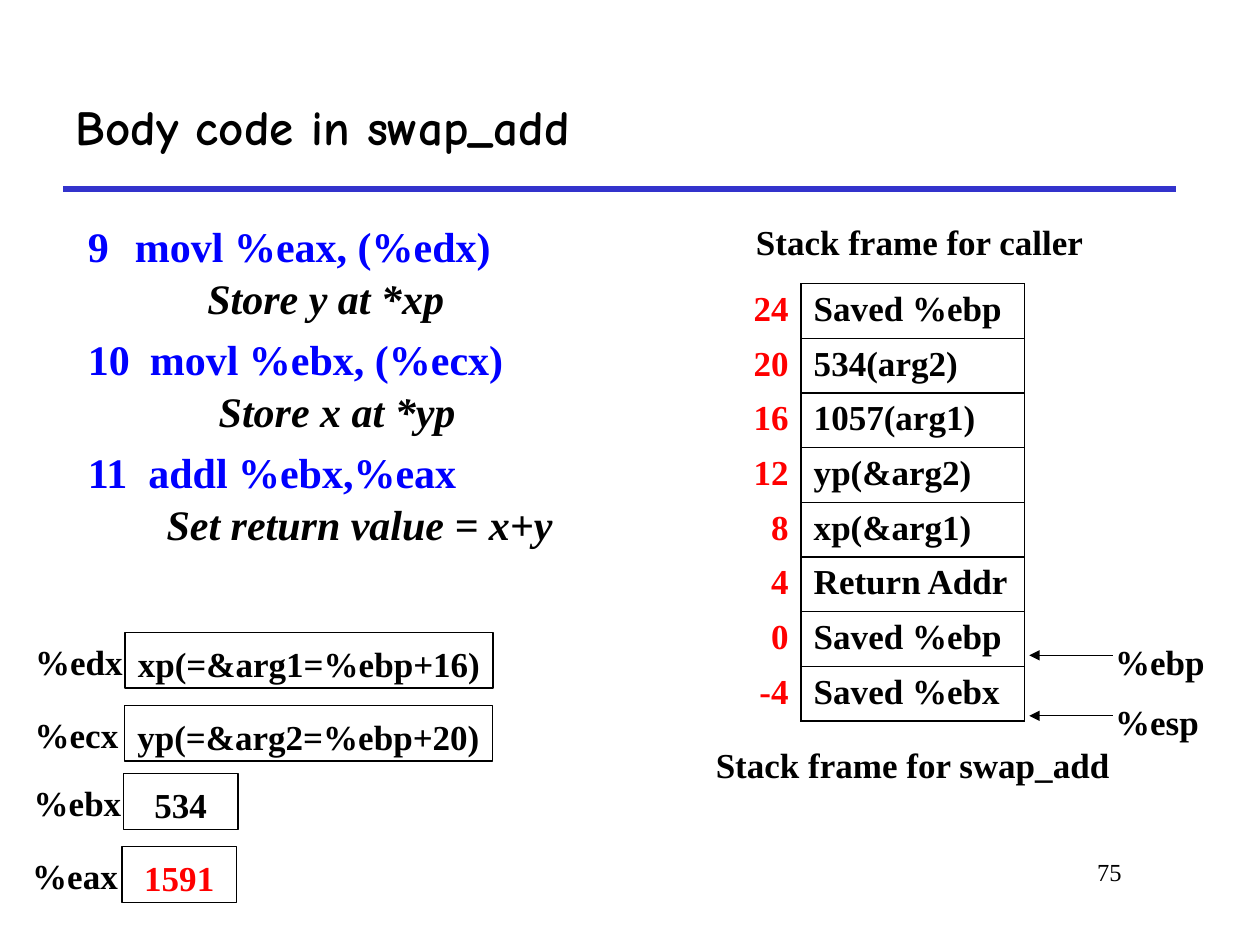
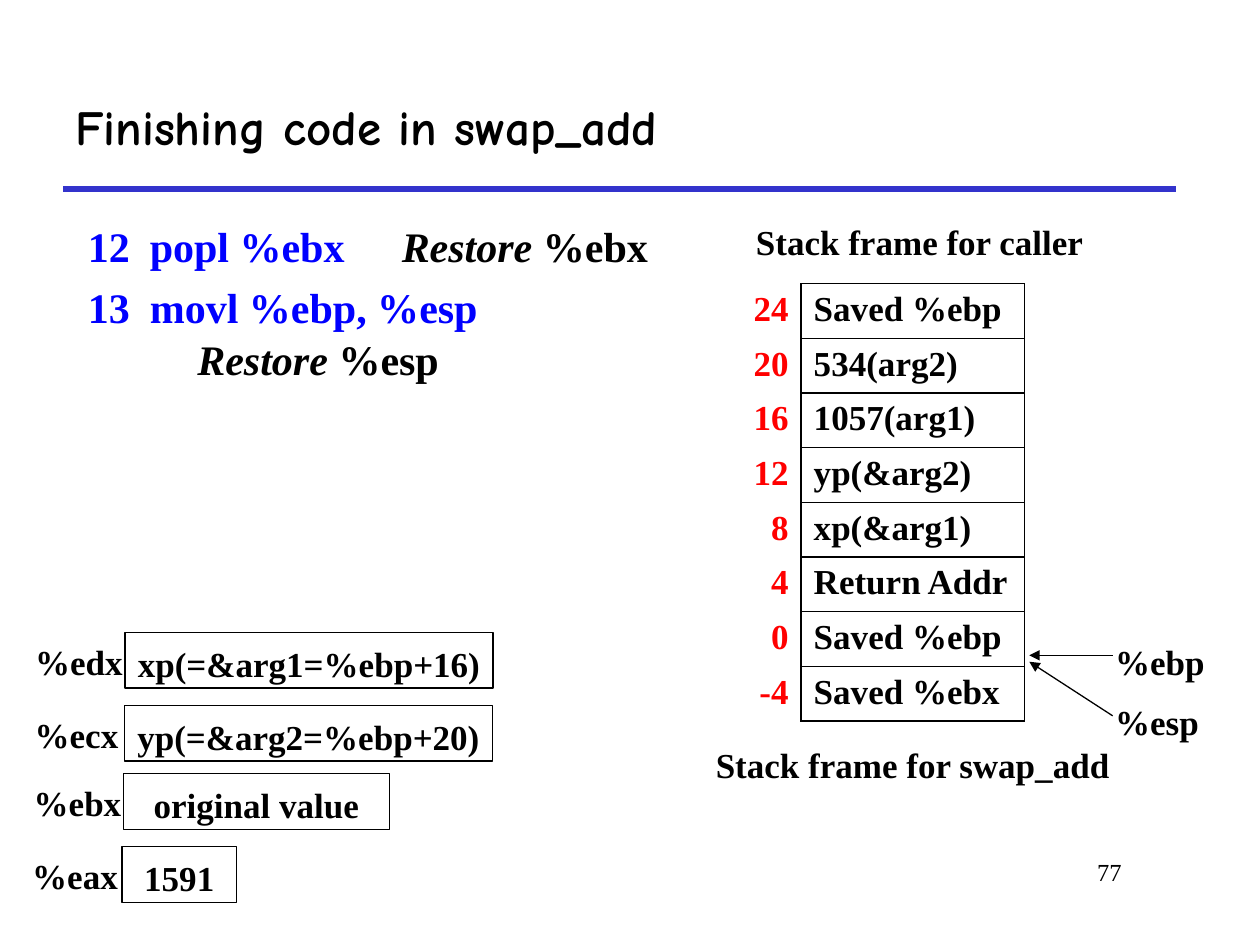
from lxml import etree
from pptx import Presentation
from pptx.dml.color import RGBColor
from pptx.enum.shapes import MSO_CONNECTOR, MSO_SHAPE
from pptx.enum.text import MSO_ANCHOR, PP_ALIGN
from pptx.oxml.ns import qn
from pptx.util import Cm, Pt

STRAIGHT, RECTANGLE = MSO_CONNECTOR.STRAIGHT, MSO_SHAPE.RECTANGLE
TOP, MIDDLE = MSO_ANCHOR.TOP, MSO_ANCHOR.MIDDLE
LEFT, CENTER, RIGHT = PP_ALIGN.LEFT, PP_ALIGN.CENTER, PP_ALIGN.RIGHT

BLACK, RED, BLUE, RULE_BLUE = "000000", "FF0000", "0000FF", "3333CC"
TITLE_FONT, BODY_FONT = "Comic Neue", "Times New Roman"

# Content: stack frame shared by both slides
STACK = [
    ("24", "Saved %ebp"), ("20", "534(arg2)"), ("16", "1057(arg1)"),
    ("12", "yp(&arg2)"), ("8", "xp(&arg1)"), ("4", "Return Addr"),
    ("0", "Saved %ebp"), ("-4", "Saved %ebx"),
]
# Caption, centre x, top (cm)
CAPTIONS = [("Stack frame for caller", 18.54, 4.32),
            ("Stack frame for swap_add", 18.4, 14.86)]
# Register name, left and top of its box (cm)
REGISTERS = [("%edx", 2.52, 12.75), ("%ecx", 2.51, 14.22),
             ("%ebx", 2.49, 15.6), ("%eax", 2.46, 17.07)]
ADDRESS_BOX, SHORT_BOX, LONG_BOX = 7.42, 2.31, 5.36
ADDRESSES = [("xp(=&arg1=%ebp+16)", ADDRESS_BOX, BLACK),
             ("yp(=&arg2=%ebp+20)", ADDRESS_BOX, BLACK)]

# Code lines: number, instruction, its indent, comment as (text, italic),
# indent of the comment (cm), comment on the same line
SLIDES = [
    {
        "title": "Body code in swap_add",
        "page": "75",
        "code": [
            ("9", "movl %eax, (%edx)", 0.95, [("Store y at *xp", True)], 2.41, False),
            ("10", "movl %ebx, (%ecx)", 1.25, [("Store x at *yp", True)], 2.64, False),
            ("11", "addl %ebx,%eax", 1.22, [("Set return value = x+y", True)], 1.59, False),
        ],
        "values": ADDRESSES + [("534", SHORT_BOX, BLACK), ("1591", SHORT_BOX, RED)],
        # Pointer name, height at the label, height at the stack (cm)
        "pointers": [("%ebp", 13.21, 13.21), ("%esp", 14.43, 14.43)],
    },
    {
        "title": "Finishing code in swap_add",
        "page": "77",
        "code": [
            ("12", "popl %ebx", 1.25, [("Restore ", True), ("%ebx", False)], 6.69, True),
            ("13", "movl %ebp, %esp", 1.25, [("Restore ", True), ("%esp", False)], 2.21, False),
        ],
        "values": ADDRESSES + [("original value", LONG_BOX, BLACK), ("1591", SHORT_BOX, BLACK)],
        "pointers": [("%ebp", 13.21, 13.21), ("%esp", 14.43, 13.34)],
    },
]


def rgb(value):
    return RGBColor.from_string(value)


def style(run, size=20, color=BLACK, font=BODY_FONT, bold=True, italic=False):
    run.font.name, run.font.size = font, Pt(size)
    run.font.bold, run.font.italic = bold, italic
    run.font.color.rgb = rgb(color)


def write(frame, text, align=LEFT, **look):
    frame.text = text
    paragraph = frame.paragraphs[0]
    paragraph.alignment = align
    for run in paragraph.runs:
        style(run, **look)


def add_label(slide, text, left, top, width, height=1.1, align=LEFT, anchor=TOP, **look):
    frame = slide.shapes.add_textbox(Cm(left), Cm(top), Cm(width), Cm(height)).text_frame
    frame.word_wrap = True
    frame.vertical_anchor = anchor
    write(frame, text, align, **look)


def add_line(slide, x1, y1, x2, y2, color=BLACK, width=0.75, arrow=False):
    line = slide.shapes.add_connector(STRAIGHT, Cm(x1), Cm(y1), Cm(x2), Cm(y2))
    line.line.color.rgb = rgb(color)
    line.line.width = Pt(width)
    if arrow:
        etree.SubElement(line.line._get_or_add_ln(), qn("a:tailEnd"), type="triangle")
    etree.SubElement(line._element.spPr, qn("a:effectLst"))


def set_indent(paragraph, left, first=0, tab=None):
    properties = paragraph._p.get_or_add_pPr()
    properties.set("marL", str(Cm(left)))
    properties.set("indent", str(Cm(first)))
    if tab:
        tabs = etree.SubElement(properties, qn("a:tabLst"))
        etree.SubElement(tabs, qn("a:tab"), pos=str(Cm(tab)), algn="l")


def add_run(paragraph, text, **look):
    run = paragraph.add_run()
    run.text = text
    style(run, size=24, **look)


def add_code(slide, code):
    frame = slide.shapes.add_textbox(Cm(1.52), Cm(4.32), Cm(12.9), Cm(2.3 * len(code))).text_frame
    frame.word_wrap = True
    for index, (number, instruction, indent, comment, comment_at, same_line) in enumerate(code):
        paragraph = frame.add_paragraph() if index else frame.paragraphs[0]
        set_indent(paragraph, indent, -indent, comment_at if same_line else None)
        paragraph.space_before = Pt(6 if index else 0)
        add_run(paragraph, f"{number}\t{instruction}", color=BLUE)
        if same_line:
            add_run(paragraph, "\t", color=BLUE)
        else:
            paragraph = frame.add_paragraph()
            set_indent(paragraph, comment_at)
            paragraph.space_before = Pt(1)
        for text, italic in comment:
            add_run(paragraph, text, italic=italic)


def set_cell(cell, text, framed_sides, align, color):
    write(cell.text_frame, text, align, color=color)
    cell.fill.background()
    properties = cell._tc.get_or_add_tcPr()
    for position, side in enumerate("LRTB"):
        border = etree.Element(qn(f"a:ln{side}"), w=str(Pt(1)))
        if side in framed_sides:
            fill = etree.SubElement(border, qn("a:solidFill"))
            etree.SubElement(fill, qn("a:srgbClr"), val=BLACK)
        else:
            etree.SubElement(border, qn("a:noFill"))
        properties.insert(position, border)


def add_stack(slide):
    row_height, column_widths = 1.1, (1.55, 4.5)
    table = slide.shapes.add_table(
        len(STACK), 2, Cm(14.6), Cm(5.72),
        Cm(sum(column_widths)), Cm(row_height * len(STACK))).table
    table.first_row = table.horz_banding = False
    for column, width in zip(table.columns, column_widths):
        column.width = Cm(width)
    for index, (offset, value) in enumerate(STACK):
        table.rows[index].height = Cm(row_height)
        set_cell(table.cell(index, 0), offset, "R", RIGHT, RED)
        set_cell(table.cell(index, 1), value, "LRTB", LEFT, BLACK)
    for caption, center, top in CAPTIONS:
        add_label(slide, caption, center - 4.5, top, 9, align=CENTER)


def add_pointers(slide, pointers):
    for name, label_y, stack_y in pointers:
        add_label(slide, name, 22.23, label_y - 0.43, 2.4)
        add_line(slide, 22.43, label_y, 20.75, stack_y, arrow=True)


def add_registers(slide, values):
    for (name, left, top), (value, width, color) in zip(REGISTERS, values):
        box = slide.shapes.add_shape(RECTANGLE, Cm(left), Cm(top), Cm(width), Cm(1.12))
        box.shadow.inherit = False
        box.fill.background()
        box.line.color.rgb = rgb(BLACK)
        box.line.width = Pt(0.75)
        frame = box.text_frame
        frame.vertical_anchor = TOP
        frame.margin_top, frame.margin_bottom = Cm(0.2), Cm(0)
        frame.margin_left = frame.margin_right = Cm(0.1)
        write(frame, value, CENTER, color=color)
        add_label(slide, name, left - 2.06, top + 0.03, 2.4)


def add_base(slide, title, page):
    add_line(slide, 1.27, 3.81, 23.7, 3.81, RULE_BLUE, 3)
    add_label(slide, title, 1.27, 1.27, 22.43, 2.54, anchor=MIDDLE, size=28, font=TITLE_FONT)
    add_label(slide, page, 19.25, 17.15, 3.61, 1.27, align=RIGHT, size=14, bold=False)


def main():
    deck = Presentation()
    deck.slide_width, deck.slide_height = Cm(25.4), Cm(19.05)
    for content in SLIDES:
        slide = deck.slides.add_slide(deck.slide_layouts[6])
        add_base(slide, content["title"], content["page"])
        add_stack(slide)
        add_code(slide, content["code"])
        add_pointers(slide, content["pointers"])
        add_registers(slide, content["values"])
    deck.save("out.pptx")


if __name__ == "__main__":
    main()
